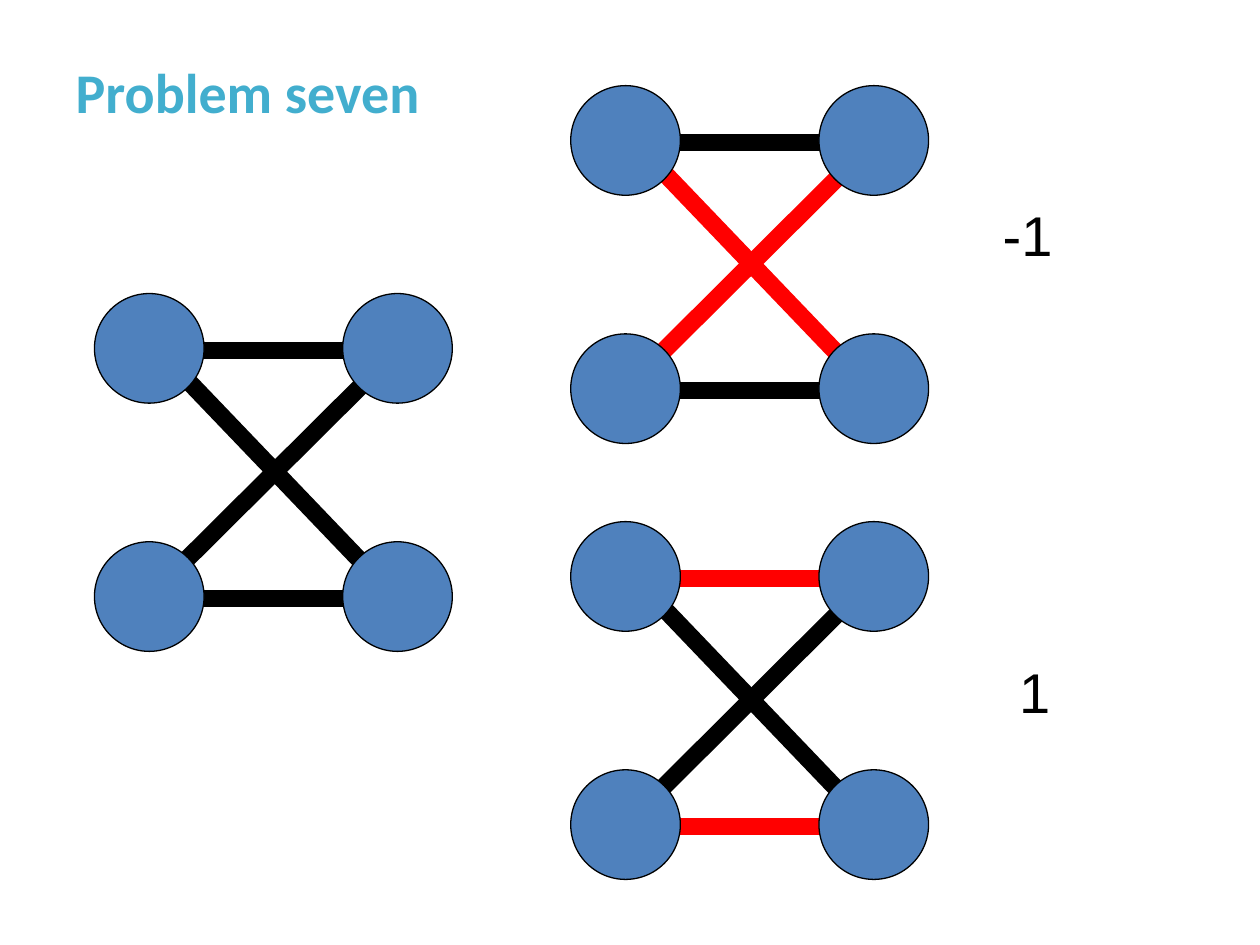
from pptx import Presentation
from pptx.dml.color import RGBColor as RGB
from pptx.enum.shapes import MSO_CONNECTOR as CONN, MSO_SHAPE as SHAPE
from pptx.enum.text import MSO_ANCHOR as ANCHOR, MSO_AUTO_SIZE as AUTO, PP_ALIGN as ALIGN
from pptx.oxml.ns import qn
from pptx.util import Inches, Pt
from lxml.etree import SubElement

COLORS = {
    "title": "42AECE",
    "node": "4F81BD",
    "edge": "000000",
    "marked": "FF0000",
    "text": "000000",
}

NODE_SIZE = 0.87
NODE_STEP = 1.97

# Edge ends, measured from the top left corner of a graph
EDGES = {
    "bottom": (0.43, 2.42, 2.4, 2.42),
    "falling": (0.51, 0.45, 2.32, 2.34),
    "rising": (0.43, 2.41, 2.4, 0.45),
    "top": (0.67, 0.45, 2.32, 0.45),
}

# Left, top, marked edges
GRAPHS = [
    (4.53, 4.14, {"top", "bottom"}),
    (4.53, 0.68, {"falling", "rising"}),
    (0.75, 2.33, set()),
]

# Left, top, value
LABELS = [(7.86, 1.54, "-1"), (7.99, 5.17, "1")]


class SlideBuilder:
    def __init__(self, slide):
        self.slide = slide

    def color(self, name):
        return RGB.from_string(COLORS[name])

    def style(self, p, text, font, color, bold=False):
        p.text = text
        p.alignment = ALIGN.LEFT
        p.font.name = font
        p.font.size = Pt(32)
        p.font.bold = bold
        p.font.color.rgb = self.color(color)

    def title(self, text):
        sp = self.slide.shapes.title
        sp.left, sp.top, sp.width, sp.height = map(Inches, (0.5, 0.3, 9, 0.85))
        tf = sp.text_frame
        tf.vertical_anchor = ANCHOR.MIDDLE
        self.style(tf.paragraphs[0], text, "Calibri", "title", bold=True)

    def label(self, x, y, text):
        sp = self.slide.shapes.add_textbox(*map(Inches, (x, y, 1.7, 0.64)))
        tf = sp.text_frame
        tf.word_wrap = True
        tf.auto_size = AUTO.SHAPE_TO_FIT_TEXT
        self.style(tf.paragraphs[0], text, "Arial", "text")

    def edge(self, shapes, ends, color):
        line = shapes.add_connector(CONN.STRAIGHT, *map(Inches, ends))
        line.line.color.rgb = self.color(color)
        line.line.width = Pt(10)
        SubElement(line._element.spPr, qn("a:effectLst"))

    def node(self, shapes, x, y):
        sp = shapes.add_shape(SHAPE.OVAL, *map(Inches, (x, y, NODE_SIZE, NODE_SIZE)))
        sp.shadow.inherit = False
        sp.fill.solid()
        sp.fill.fore_color.rgb = self.color("node")
        sp.line.color.rgb = self.color("edge")
        sp.line.width = Pt(0.75)

    def graph(self, x, y, marked):
        shapes = self.slide.shapes.add_group_shape().shapes
        for name, (x1, y1, x2, y2) in EDGES.items():
            color = "marked" if name in marked else "edge"
            self.edge(shapes, (x + x1, y + y1, x + x2, y + y2), color)
        for col in range(2):
            for row in range(2):
                self.node(shapes, x + col * NODE_STEP, y + row * NODE_STEP)


def main():
    prs = Presentation()
    prs.slide_width, prs.slide_height = Inches(10), Inches(7.5)
    s = SlideBuilder(prs.slides.add_slide(prs.slide_layouts[5]))

    s.title("Problem seven")

    # The graph and its two perfect matchings
    for x, y, marked in GRAPHS:
        s.graph(x, y, marked)

    # Sign of each matching
    for x, y, text in LABELS:
        s.label(x, y, text)

    prs.save("out.pptx")


if __name__ == "__main__":
    main()
